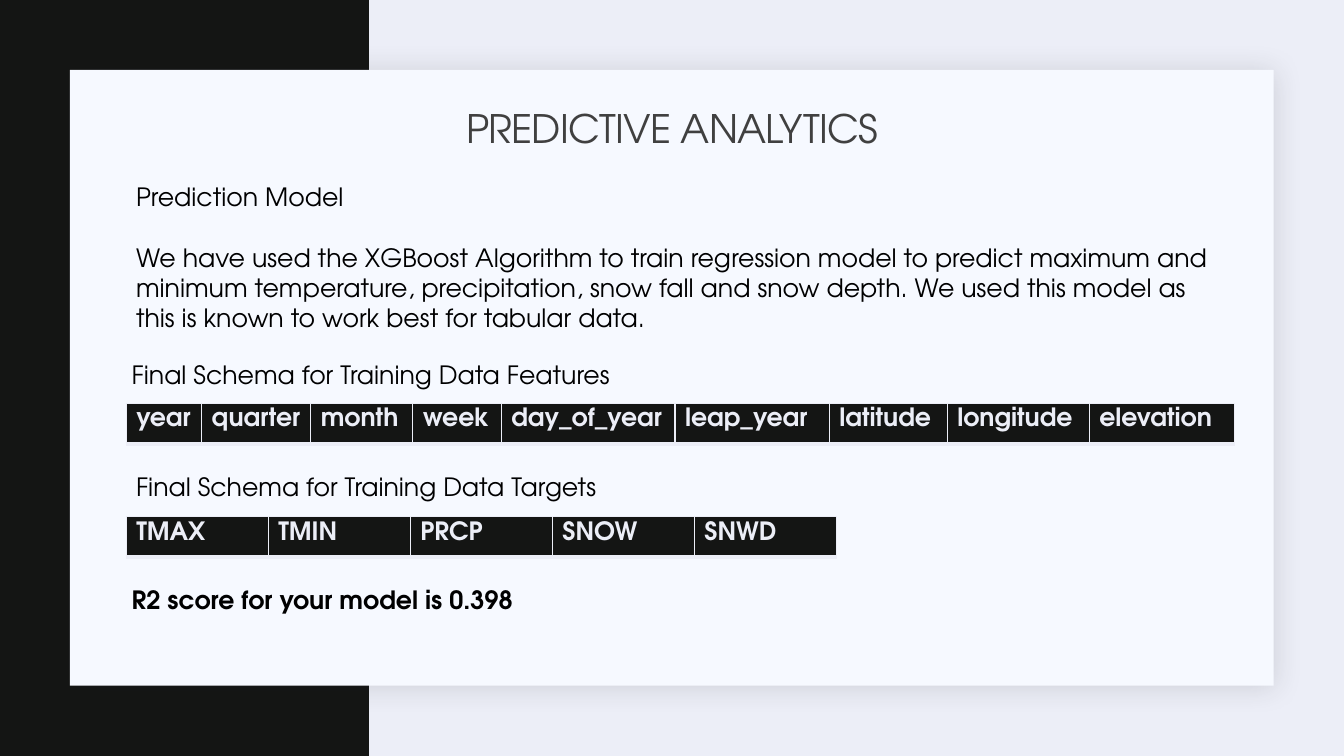
import pptx
import pptx.dml.color
import pptx.enum.shapes
import pptx.enum.text
import pptx.oxml
import pptx.oxml.ns
import pptx.util
from pptx.util import Cm

COLORS = {
    "background": "ECEEF7",
    "dark": "141514",
    "card": "F6F9FF",
    "shadow": "1F2125",
    "title": "404040",
    "text": "000000",
}
FONT = "TeX Gyre Adventor"
BODY = {"name": FONT, "size": pptx.util.Pt(18), "bold": False}
BOLD = {**BODY, "bold": True}
TITLE = {**BODY, "size": pptx.util.Pt(28)}

FEATURES = {
    "year": 1.9, "quarter": 2.75, "month": 2.57, "week": 2.23, "day_of_year": 4.38,
    "leap_year": 3.89, "latitude": 2.97, "longitude": 3.58, "elevation": 3.67,
}
TARGETS = dict.fromkeys(["TMAX", "TMIN", "PRCP", "SNOW", "SNWD"], 3.58)
MODEL_TEXT = (
    "We have used the XGBoost Algorithm to train regression model to predict maximum "
    "and minimum temperature, precipitation, snow fall and snow depth. We used this "
    "model as this is known to work best for tabular data."
)


def rgb(name):
    return pptx.dml.color.RGBColor.from_string(COLORS[name])


def paint(fill, color):
    fill.solid()
    fill.fore_color.rgb = rgb(color)


def write(para, text, style, color):
    span = para.add_run()
    span.text = text
    for key, value in style.items():
        setattr(span.font, key, value)
    span.font.color.rgb = rgb(color)
    return span


def parse_drawing(xml):
    """Read a DrawingML fragment whose root lacks the namespace declaration."""
    return pptx.oxml.parse_xml(xml.replace(">", f" {pptx.oxml.ns.nsdecls('a')}>", 1))


def add_panel(page, left, top, width, height, color):
    panel = page.shapes.add_shape(
        pptx.enum.shapes.MSO_SHAPE.RECTANGLE, Cm(left), Cm(top), Cm(width), Cm(height))
    panel.shadow.inherit = False
    panel.line.fill.background()
    paint(panel.fill, color)
    return panel


def add_soft_shadow(panel):
    effects = panel._element.spPr.find(pptx.oxml.ns.qn("a:effectLst"))
    effects.append(parse_drawing(
        '<a:outerShdw blurRad="254000" dist="25400" dir="2700000" algn="tl" rotWithShape="0">'
        f'<a:srgbClr val="{COLORS["shadow"]}"><a:alpha val="15000"/></a:srgbClr>'
        '</a:outerShdw>'))


def place_title(page, text):
    title = page.shapes.title
    title._element.getparent().append(title._element)  # in front of the panels
    place = {"left": Cm(2.97), "top": Cm(1.73), "width": Cm(27.94), "height": Cm(3.15)}
    for key, value in place.items():
        setattr(title, key, value)
    frame = title.text_frame
    frame.auto_size = pptx.enum.text.MSO_AUTO_SIZE.NONE
    frame.vertical_anchor = pptx.enum.text.MSO_ANCHOR.MIDDLE
    para = frame.paragraphs[0]
    para.alignment = pptx.enum.text.PP_ALIGN.CENTER
    para.line_spacing = 0.9
    span = write(para, text, TITLE, "title")
    span.font._element.set("spc", "-50")


def add_text(page, left, top, width, height, texts, style=BODY, gap=0):
    box = page.shapes.add_textbox(Cm(left), Cm(top), Cm(width), Cm(height))
    frame = box.text_frame
    frame.word_wrap = True
    for index, text in enumerate(texts):
        para = frame.add_paragraph() if index else frame.paragraphs[0]
        para.space_before = pptx.util.Pt(gap if index else 0)
        write(para, text, style, "text")


def set_borders(cell):
    properties = cell._tc.get_or_add_tcPr()
    for index, (side, points) in enumerate({"L": 1, "R": 1, "T": 1, "B": 3}.items()):
        properties.insert(index, parse_drawing(
            f'<a:ln{side} w="{pptx.util.Pt(points)}"><a:solidFill>'
            f'<a:srgbClr val="{COLORS["background"]}"/></a:solidFill></a:ln{side}>'))


def add_schema(page, left, top, columns):
    """Add a one-row table from column names and their widths."""
    table = page.shapes.add_table(
        1, len(columns), Cm(left), Cm(top), Cm(sum(columns.values())), Cm(1.02)).table
    for index, (name, width) in enumerate(columns.items()):
        table.columns[index].width = Cm(width)
        cell = table.cell(0, index)
        paint(cell.fill, "dark")
        set_borders(cell)
        write(cell.text_frame.paragraphs[0], name, BOLD, "background")


def main():
    deck = pptx.Presentation()
    deck.slide_width, deck.slide_height = Cm(33.87), Cm(19.05)
    page = deck.slides.add_slide(deck.slide_layouts.get_by_name("Title Only"))
    paint(page.background.fill, "background")

    add_panel(page, 0, 0, 9.3, 19.05, "dark")
    add_soft_shadow(add_panel(page, 1.76, 1.76, 30.34, 15.52, "card"))
    place_title(page, "PREDICTIVE ANALYTICS")

    add_text(page, 3.18, 4.45, 27.94, 4.11, ["Prediction Model", MODEL_TEXT], gap=21.6)
    add_text(page, 3.07, 8.94, 27.74, 1.02, ["Final Schema for Training Data Features"])
    add_schema(page, 3.18, 10.16, FEATURES)
    add_text(page, 3.18, 11.76, 27.94, 1.02, ["Final Schema for Training Data Targets"])
    add_schema(page, 3.18, 13.02, TARGETS)
    add_text(page, 3.07, 14.61, 15.9, 1.02, ["R2 score for your model is 0.398"], BOLD)

    deck.save("out.pptx")


if __name__ == "__main__":
    main()
